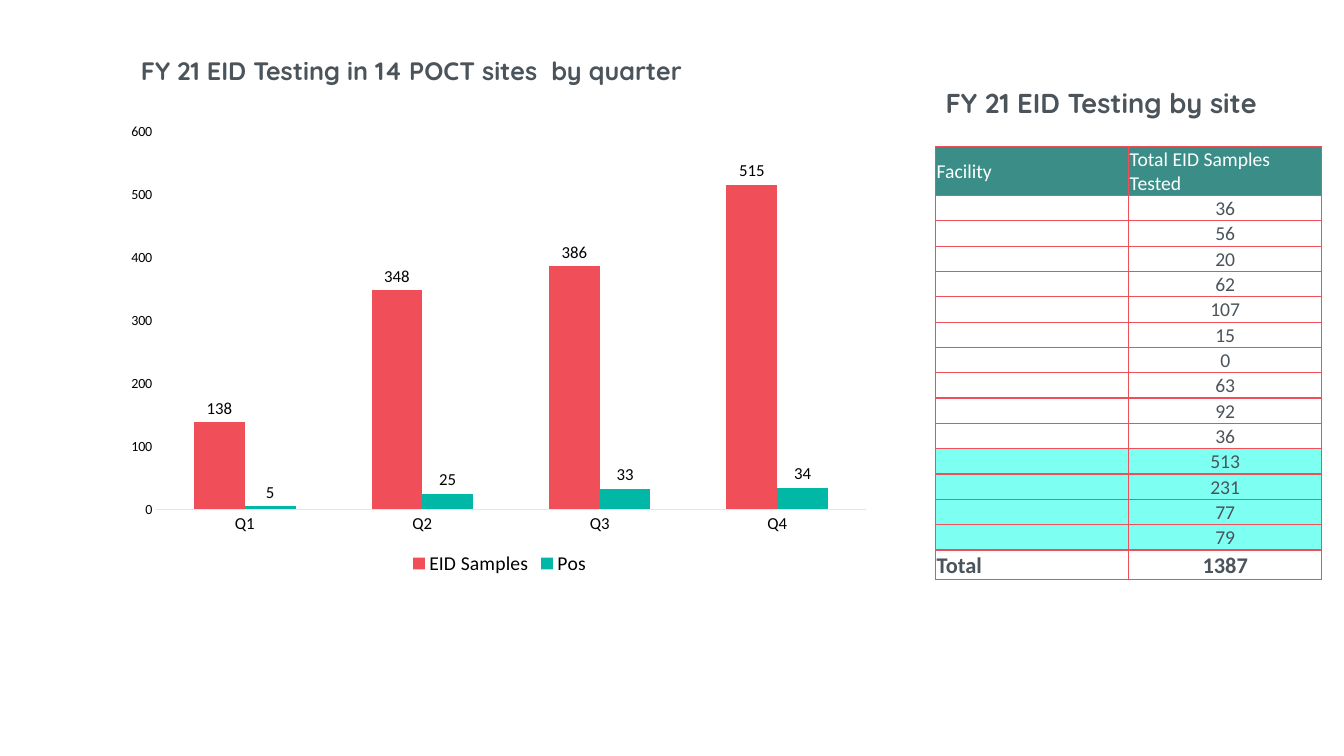
from lxml.etree import SubElement, fromstring
from pptx import Presentation
from pptx.chart.data import CategoryChartData
from pptx.dml.color import RGBColor
from pptx.enum.chart import XL_CHART_TYPE as ChartType
from pptx.enum.chart import XL_LABEL_POSITION as LabelPosition
from pptx.enum.chart import XL_LEGEND_POSITION as LegendPosition
from pptx.enum.chart import XL_TICK_MARK as TickMark
from pptx.enum.text import MSO_ANCHOR as Anchor
from pptx.enum.text import PP_ALIGN as Align
from pptx.oxml.ns import nsdecls, qn
from pptx.util import Inches, Pt

SLIDE_WIDTH, SLIDE_HEIGHT = Inches(13.33), Inches(7.5)
SLATE = RGBColor(0x4B, 0x54, 0x5B)
CORAL = RGBColor(0xF0, 0x4E, 0x58)
TEAL = RGBColor(0x00, 0xB8, 0xA5)
DARK_TEAL = RGBColor(0x3A, 0x8E, 0x87)
AQUA = RGBColor(0x7D, 0xFF, 0xF2)
PALE_GREY = RGBColor(0xE3, 0xE6, 0xE8)
BLACK = RGBColor(0, 0, 0)
WHITE = RGBColor(0xFF, 0xFF, 0xFF)

QUARTERS = ["Q1", "Q2", "Q3", "Q4"]
TESTING = [
    ("EID Samples", [138, 348, 386, 515], CORAL),
    ("Pos", [5, 25, 33, 34], TEAL),
]
SITE_SAMPLES = [36, 56, 20, 62, 107, 15, 0, 63, 92, 36, 513, 231, 77, 79]
FIRST_HIGHLIGHTED_SITE = 10
HEADER_SHARE, TOTAL_SHARE = 11.4, 6.74
PLOT_SHARES = {"x": 0.05, "y": 0.04, "w": 0.93, "h": 0.81}


def percent_box(left, top, width, height):
    return (
        int(SLIDE_WIDTH * left / 100),
        int(SLIDE_HEIGHT * top / 100),
        int(SLIDE_WIDTH * width / 100),
        int(SLIDE_HEIGHT * height / 100),
    )


def style_font(font, size, color, name="Calibri", bold=False):
    font.name, font.size, font.bold = name, Pt(size), bold
    font.color.rgb = color


def add_heading(slide, wording, size, area):
    frame = slide.shapes.add_textbox(*area).text_frame
    frame.word_wrap = True
    frame.vertical_anchor = Anchor.TOP
    run = frame.paragraphs[0].add_run()
    run.text = wording
    style_font(run.font, size, SLATE, "Quicksand", True)


def place_plot(chart):
    plot_area = chart._chartSpace.chart.plotArea
    for automatic in plot_area.findall(qn("c:layout")):
        plot_area.remove(automatic)
    layout = fromstring(f"<c:layout {nsdecls('c')}/>")
    manual = SubElement(layout, qn("c:manualLayout"))
    settings = {"layoutTarget": "inner", "xMode": "edge", "yMode": "edge"}
    for tag, value in {**settings, **PLOT_SHARES}.items():
        SubElement(manual, qn(f"c:{tag}")).set("val", str(value))
    plot_area.insert(0, layout)


def style_axis(axis, size):
    axis.has_major_gridlines = False
    axis.major_tick_mark = axis.minor_tick_mark = TickMark.NONE
    style_font(axis.tick_labels.font, size, BLACK)


def add_quarter_chart(slide, area):
    data = CategoryChartData()
    data.categories = QUARTERS
    for name, counts, _ in TESTING:
        data.add_series(name, counts)
    chart = slide.shapes.add_chart(ChartType.COLUMN_CLUSTERED, *area, data).chart
    chart.has_title = False
    style_font(chart.font, 10, SLATE)

    style_axis(chart.category_axis, 12)
    chart.category_axis.format.line.color.rgb = PALE_GREY
    chart.category_axis.format.line.width = Pt(0.75)
    style_axis(chart.value_axis, 10)
    chart.value_axis.format.line.fill.background()
    chart.value_axis.minimum_scale, chart.value_axis.maximum_scale = 0, 600
    chart.value_axis.major_unit = 100

    chart.has_legend = True
    chart.legend.position = LegendPosition.BOTTOM
    chart.legend.include_in_layout = False
    style_font(chart.legend.font, 14, BLACK)

    plot = chart.plots[0]
    plot.gap_width, plot.overlap = 150, 0
    plot.vary_by_categories = False
    for series, (_, _, color) in zip(plot.series, TESTING):
        series.format.fill.solid()
        series.format.fill.fore_color.rgb = color
        labels = series.data_labels
        labels.show_value = True
        labels.position = LabelPosition.OUTSIDE_END
        style_font(labels.font, 12, BLACK)
    place_plot(chart)


def add_borders(cell):
    properties = cell._tc.get_or_add_tcPr()
    for side in "LRTB":
        line = SubElement(properties, qn(f"a:ln{side}"), w=str(Pt(1)))
        fill = SubElement(line, qn("a:solidFill"))
        SubElement(fill, qn("a:srgbClr"), val=str(CORAL))


def fill_cell(cell, wording, size=14, color=SLATE, bold=False, fill=None,
              align=Align.LEFT, anchor=Anchor.BOTTOM):
    cell.margin_left = cell.margin_right = cell.margin_top = Inches(0.01)
    cell.margin_bottom = 0
    cell.vertical_anchor = anchor
    add_borders(cell)
    if fill is None:
        cell.fill.background()
    else:
        cell.fill.solid()
        cell.fill.fore_color.rgb = fill
    paragraph = cell.text_frame.paragraphs[0]
    paragraph.alignment = align
    if wording:
        run = paragraph.add_run()
        run.text = wording
        style_font(run.font, size, color, bold=bold)
    else:
        SubElement(paragraph._p, qn("a:endParaRPr"), sz=str(size * 100))


def add_site_table(slide, area):
    site_count = len(SITE_SAMPLES)
    table = slide.shapes.add_table(site_count + 2, 2, *area).table
    table.horz_banding = False
    site_share = (100 - HEADER_SHARE - TOTAL_SHARE) / site_count
    shares = [HEADER_SHARE] + [site_share] * site_count + [TOTAL_SHARE]
    for row, share in zip(table.rows, shares):
        row.height = int(area[3] * share / 100)

    header = {"color": WHITE, "fill": DARK_TEAL}
    fill_cell(table.cell(0, 0), "Facility", anchor=Anchor.MIDDLE, **header)
    fill_cell(table.cell(0, 1), "Total EID Samples Tested", **header)
    for site, samples in enumerate(SITE_SAMPLES):
        fill = AQUA if site >= FIRST_HIGHLIGHTED_SITE else None
        fill_cell(table.cell(site + 1, 0), "", fill=fill)
        fill_cell(table.cell(site + 1, 1), str(samples), fill=fill, align=Align.CENTER)
    total = {"size": 16, "bold": True}
    fill_cell(table.cell(site_count + 1, 0), "Total", **total)
    fill_cell(table.cell(site_count + 1, 1), str(sum(SITE_SAMPLES)),
              align=Align.CENTER, **total)


def main():
    deck = Presentation()
    deck.slide_width, deck.slide_height = SLIDE_WIDTH, SLIDE_HEIGHT
    slide = deck.slides.add_slide(deck.slide_layouts[6])
    add_heading(slide, "FY 21 EID Testing in 14 POCT sites  by quarter", 18,
                percent_box(9.75, 6.67, 51.39, 8.27))
    add_quarter_chart(slide, percent_box(8.78, 14.93, 56.79, 61.73))
    add_site_table(slide, percent_box(69.62, 19.33, 28.73, 57.33))
    add_heading(slide, "FY 21 EID Testing by site", 19.5,
                percent_box(69.62, 10.8, 28.73, 8.27))
    deck.save("out.pptx")


if __name__ == "__main__":
    main()
